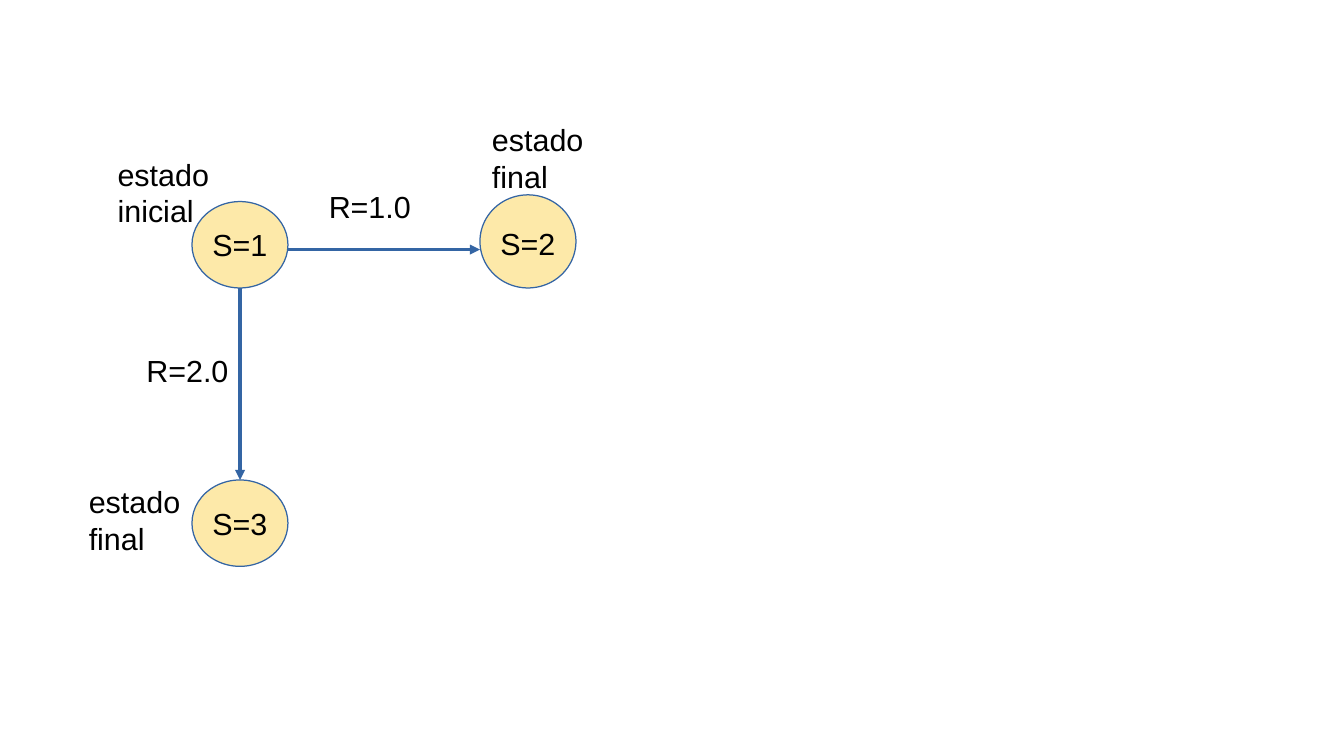
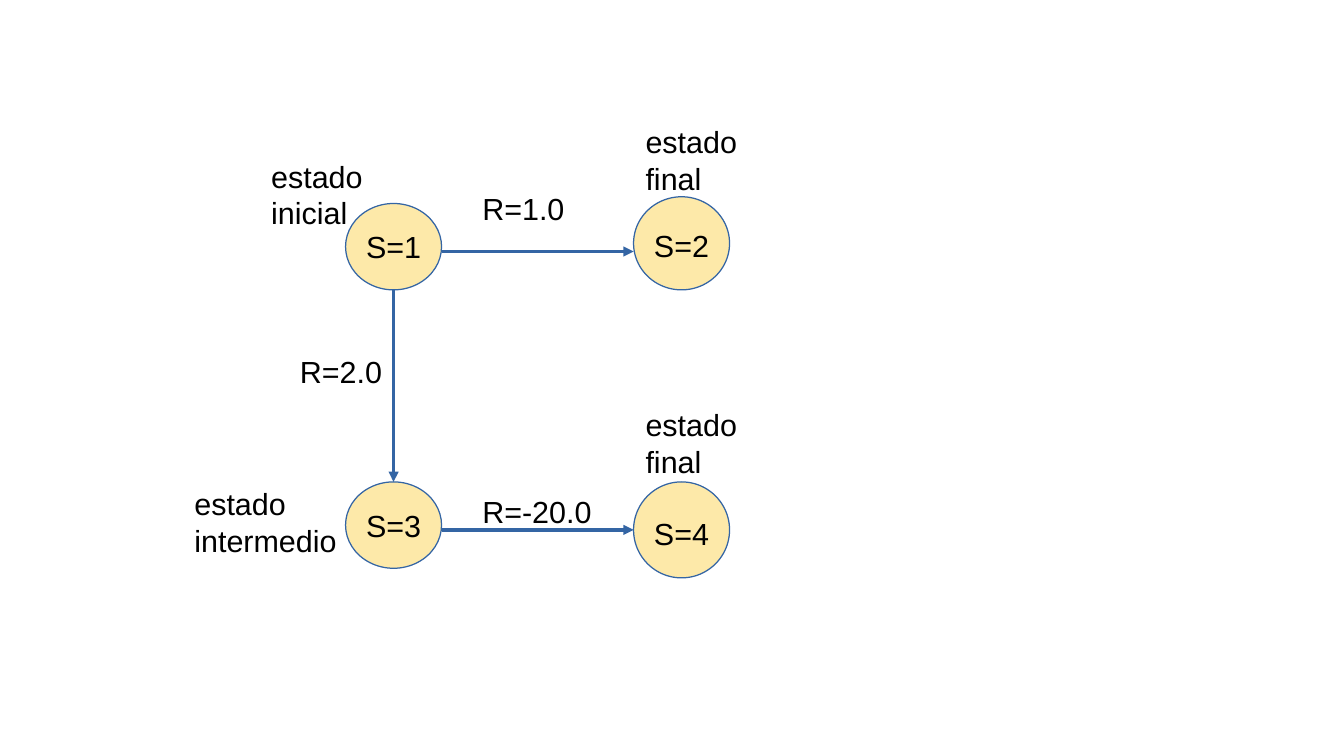
import pptx
import pptx.util
import pptx.dml.color
import pptx.enum.shapes
import pptx.enum.text
import pptx.oxml.ns
import lxml.etree

Cm = pptx.util.Cm
COLORS = {"state": "FDE9A9", "outline": "3465A4", "text": "000000"}
TEXT_FORMAT = {"name": "Arial", "size": pptx.util.Pt(18), "bold": False}
STATE_FRAME = {
    "word_wrap": False,
    "vertical_anchor": pptx.enum.text.MSO_ANCHOR.MIDDLE,
    "margin_left": 0, "margin_right": 0, "margin_bottom": 0,
}
LABEL_FRAME = {
    "word_wrap": True,
    "vertical_anchor": pptx.enum.text.MSO_ANCHOR.TOP,
}
LEFT, CENTER = pptx.enum.text.PP_ALIGN.LEFT, pptx.enum.text.PP_ALIGN.CENTER

# All graph lengths are in cm, measured from the top left of state S=1.
DIAMETER = 2
COLUMN, ROW = 6, 5.8
FLAT_HEIGHT = 1.8
ARROW_DROP = 1

# States: text, left, top, height, downward shift of the text
SHARED_STATES = [
    ("S=1", 0, 0, FLAT_HEIGHT, 0),
    ("S=2", COLUMN, -0.14, 1.94, 0.05),
    ("S=3", 0, ROW, FLAT_HEIGHT, 0),
]
# Transitions: start x, start y, end x, end y
SHARED_TRANSITIONS = [
    (DIAMETER / 2, FLAT_HEIGHT, DIAMETER / 2, ROW),
    (DIAMETER, ARROW_DROP, COLUMN, ARROW_DROP),
]
# Labels: text, left, top, width, height
SHARED_LABELS = [
    ("R=2.0", -1.2, 3, 2.4, 1.2),
    ("R=1.0", 2.6, -0.4, 2.4, 1.2),
    ("estado inicial", -1.8, -1.08, 2.6, 1.68),
    ("estado final", COLUMN, -1.8, 2.6, 1.68),
]

GRAPHS = [
    {
        "origin": (4, 4.2),
        "states": SHARED_STATES,
        "transitions": SHARED_TRANSITIONS,
        "labels": SHARED_LABELS + [("estado final", -2.4, 5.74, 2.6, 1.68)],
    },
    {
        "origin": (7.2, 4.24),
        "states": SHARED_STATES + [("S=4", COLUMN, ROW, DIAMETER, 0.08)],
        "transitions": SHARED_TRANSITIONS + [
            (DIAMETER, ROW + ARROW_DROP, COLUMN, ROW + ARROW_DROP),
        ],
        "labels": SHARED_LABELS + [
            ("estado intermedio", -3.4, 5.74, 3.6, 2.4),
            ("R=-20.0", 2.6, 5.9, 3, 0.96),
            ("estado final", COLUMN, 4.1, 2.6, 1.68),
        ],
    },
]


def rgb(name):
    return pptx.dml.color.RGBColor.from_string(COLORS[name])


def apply_format(target, values):
    for attribute, value in values.items():
        setattr(target, attribute, value)


def write_text(frame, text, frame_format, alignment):
    apply_format(frame, frame_format)
    paragraph = frame.paragraphs[0]
    paragraph.text = text
    paragraph.alignment = alignment
    apply_format(paragraph.font, TEXT_FORMAT)
    paragraph.font.color.rgb = rgb("text")


def draw_outline(line):
    """Give a line the hairline width shared by states and transitions."""
    line.color.rgb = rgb("outline")
    line.width = pptx.util.Pt(0)


def add_state(slide, origin, text, left, top, height, text_shift):
    x, y = origin
    state = slide.shapes.add_shape(
        pptx.enum.shapes.MSO_SHAPE.OVAL,
        Cm(x + left), Cm(y + top), Cm(DIAMETER), Cm(height))
    state.shadow.inherit = False
    state.fill.solid()
    state.fill.fore_color.rgb = rgb("state")
    draw_outline(state.line)
    # Middle anchoring moves the text by half of the top margin.
    frame_format = {**STATE_FRAME, "margin_top": Cm(2 * text_shift)}
    write_text(state.text_frame, text, frame_format, CENTER)


def add_transition(slide, origin, start_x, start_y, end_x, end_y):
    x, y = origin
    transition = slide.shapes.add_connector(
        pptx.enum.shapes.MSO_CONNECTOR.STRAIGHT,
        Cm(x + start_x), Cm(y + start_y), Cm(x + end_x), Cm(y + end_y))
    draw_outline(transition.line)
    properties = transition._element.spPr
    qn = pptx.oxml.ns.qn
    lxml.etree.SubElement(properties.find(qn("a:ln")), qn("a:tailEnd"), type="triangle")
    lxml.etree.SubElement(properties, qn("a:effectLst"))


def add_label(slide, origin, text, left, top, width, height):
    x, y = origin
    label = slide.shapes.add_textbox(
        Cm(x + left), Cm(y + top), Cm(width), Cm(height))
    write_text(label.text_frame, text, LABEL_FRAME, LEFT)


def add_graph(slide, graph):
    for part, add_part in (
        ("states", add_state),
        ("transitions", add_transition),
        ("labels", add_label),
    ):
        for values in graph[part]:
            add_part(slide, graph["origin"], *values)


def main():
    presentation = pptx.Presentation()
    presentation.slide_width = Cm(28)
    presentation.slide_height = Cm(15.75)
    blank_layout = presentation.slide_layouts[6]
    for graph in GRAPHS:
        add_graph(presentation.slides.add_slide(blank_layout), graph)
    presentation.save("out.pptx")


if __name__ == "__main__":
    main()
